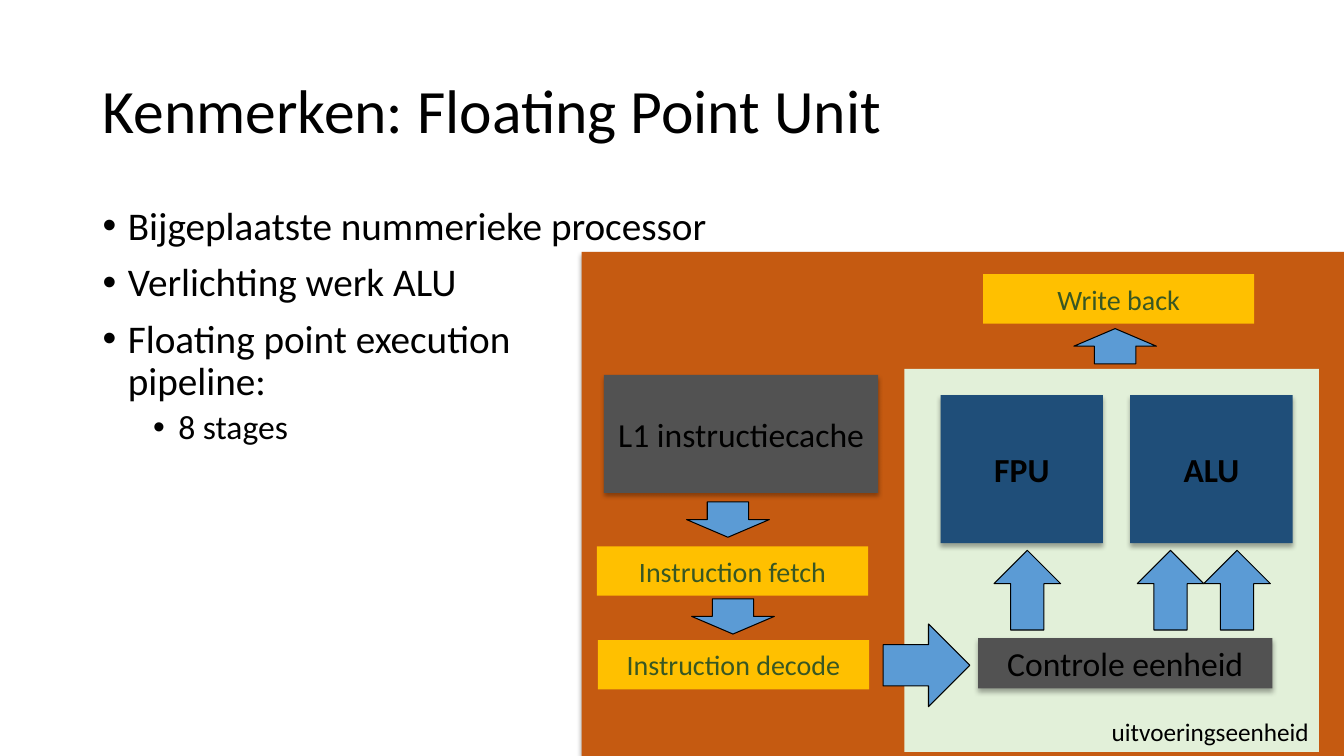
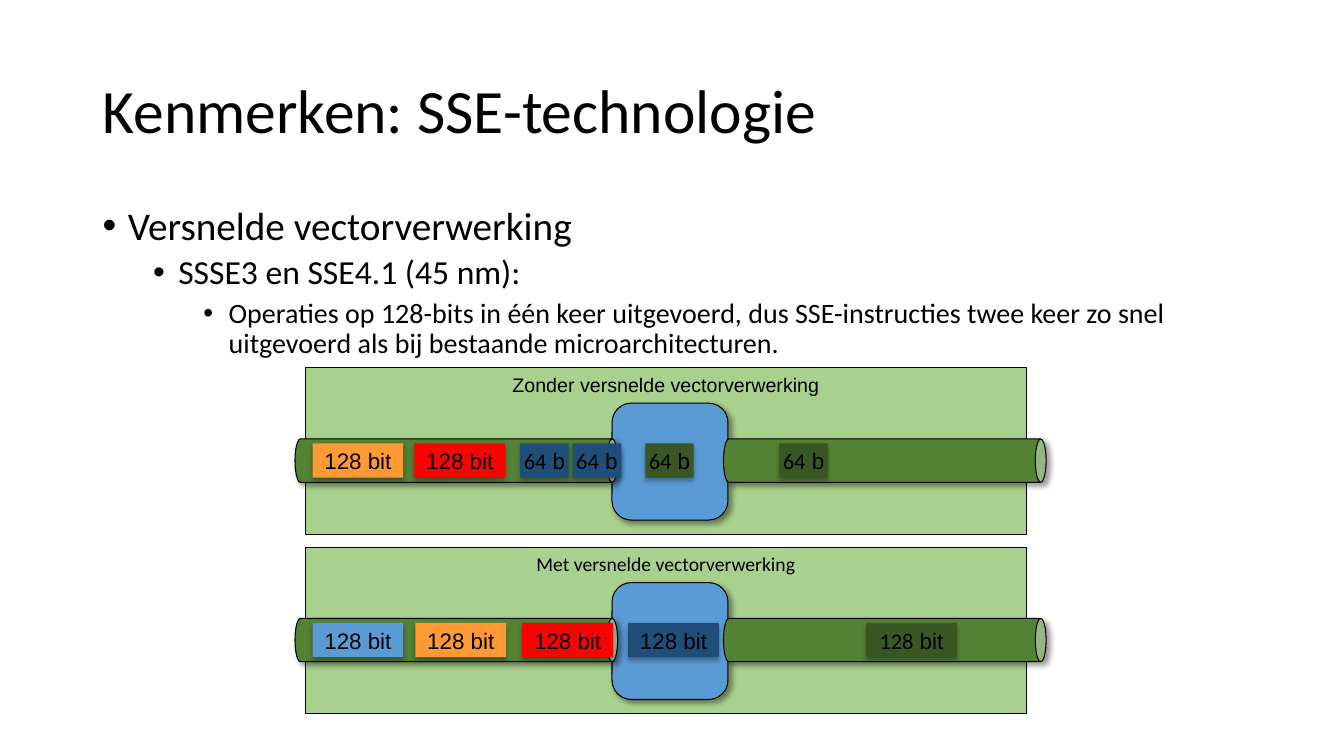
from pptx import Presentation
from pptx.dml.color import RGBColor
from pptx.enum.shapes import MSO_SHAPE
from pptx.enum.text import MSO_ANCHOR, MSO_AUTO_SIZE, PP_ALIGN
from pptx.oxml.ns import qn
from pptx.util import Emu, Pt
from lxml.etree import SubElement

PX = 9144
SANS, ARIAL = "Calibri", "Arial"
HUES = {
    "black": "000000", "rust": "C55A11", "mint": "E2F0D9", "navy": "1F4E79",
    "gold": "FFC000", "gray": "525252", "moss": "385723", "blue": "5B9BD5",
    "lime": "A9D18E", "green": "548235", "orange": "FF9933", "red": "FF0000",
}
SOFT = {"alpha": 32, "blur": 3.5, "dist": 2.2, "angle": 90}
DEEP = {"alpha": 40, "blur": 4, "dist": 3, "angle": 45}
LEVELS = [(28, 10), (24, 5), (20, 5)]


def px(*sizes):
    """Turn px lengths into EMU."""
    return [Emu(size * PX) for size in sizes]


def color(name):
    """Look up a named colour."""
    return RGBColor.from_string(HUES[name])


def text(para, words, size=16, font=SANS, hue="black", bold=False):
    """Add words to a paragraph, with a line break at each newline."""
    for index, line in enumerate(words.split("\n")):
        if index:
            para.add_line_break()
        run = para.add_run()
        run.text = line
        run.font.size, run.font.name, run.font.bold = Pt(size), font, bold
        run.font.color.rgb = color(hue)


def shade(shape, alpha, blur, dist, angle):
    """Give a shape an outer shadow."""
    effects = shape.element.spPr.find(qn("a:effectLst"))
    outer = SubElement(effects, qn("a:outerShdw"), blurRad=str(Pt(blur)),
                       dist=str(Pt(dist)), dir=str(angle * 60000),
                       algn="ctr", rotWithShape="0")
    tint = SubElement(outer, qn("a:srgbClr"), val=HUES["black"])
    SubElement(tint, qn("a:alpha"), val=str(alpha * 1000))


def box(slide, place, fill, kind=MSO_SHAPE.RECTANGLE, edge=False, glow=None):
    """Draw a filled shape."""
    shape = slide.shapes.add_shape(kind, *px(*place))
    shape.shadow.inherit = False
    shape.fill.solid()
    shape.fill.fore_color.rgb = color(fill)
    if edge:
        shape.line.color.rgb = color("black")
        shape.line.width = Pt(0.75)
    else:
        shape.line.fill.background()
    if glow:
        shade(shape, **glow)
    return shape


def label(shape, words, anchor=MSO_ANCHOR.MIDDLE, align=PP_ALIGN.CENTER, **form):
    """Write a label inside a shape."""
    frame = shape.text_frame
    frame.word_wrap = True
    frame.vertical_anchor = anchor
    para = frame.paragraphs[0]
    para.alignment = align
    text(para, words, **form)


def bullet(para, level, words, first):
    """Fill one bullet paragraph."""
    size, gap = LEVELS[level]
    para.level = level
    para.line_spacing = 0.9
    para.space_before = Pt(0 if first else gap)
    props = para._p.get_or_add_pPr()
    props.set("marL", str(px(25 + 50 * level)[0]))
    props.set("indent", str(px(-25)[0]))
    SubElement(props, qn("a:buFont"), typeface=ARIAL)
    SubElement(props, qn("a:buChar"), char="•")
    text(para, words, size=size)


def page(deck, title, points):
    """Add a slide with a title and bullets."""
    slide = deck.slides.add_slide(deck.slide_layouts[5])
    head = slide.shapes.title
    head.left, head.top, head.width, head.height = px(92, 40, 1150, 145)
    label(head, title, align=PP_ALIGN.LEFT, size=44)
    head.text_frame.auto_size = MSO_AUTO_SIZE.NONE
    head.text_frame.paragraphs[0].line_spacing = 0.9
    frame = slide.shapes.add_textbox(*px(92, 200, 1150, 476)).text_frame
    frame.word_wrap = True
    for index, (level, words) in enumerate(points):
        para = frame.add_paragraph() if index else frame.paragraphs[0]
        bullet(para, level, words, not index)
    return slide


def unit(slide):
    """Draw the path from cache to write back."""
    box(slide, (577, 250, 756, 500), "rust", glow=SOFT)
    core = box(slide, (897, 366, 411, 380), "mint")
    label(core, "uitvoeringseenheid", MSO_ANCHOR.BOTTOM, PP_ALIGN.RIGHT, size=18)
    for left, name in ((1121, "ALU"), (933, "FPU")):
        label(box(slide, (left, 392, 161, 147), "navy", glow=SOFT),
              name, size=24, bold=True)
    for place, name in (((970, 633, 292, 50), "Controle eenheid"),
                        ((599, 372, 272, 117), "L1 instructiecache")):
        label(box(slide, place, "gray", glow=SOFT), name, size=24)
    for left, top, name in ((593, 635, "Instruction decode"),
                            (592, 542, "Instruction fetch"),
                            (975, 272, "Write back")):
        label(box(slide, (left, top, 269, 49), "gold"),
              name, size=20, hue="moss")
    down, up = MSO_SHAPE.DOWN_ARROW, MSO_SHAPE.UP_ARROW
    arrows = [(MSO_SHAPE.RIGHT_ARROW, (876, 619, 86, 82)),
              (down, (681, 498, 82, 35)), (down, (686, 594, 82, 35)),
              (up, (1065, 326, 82, 35))]
    arrows += [(up, (left, 546, 66, 79)) for left in (986, 1128, 1194)]
    for kind, place in arrows:
        box(slide, place, "blue", kind, edge=True)


def chip(slide, left, mid, fill, count, font):
    """Draw a data block with its bit count."""
    width, mark = (90, " bit") if count == "128" else (48, " b")
    shape = box(slide, (left, mid - 17, width, 34), fill, glow=SOFT)
    frame = shape.text_frame
    frame.margin_left = frame.margin_right = 0
    frame.margin_top = frame.margin_bottom = 0
    label(shape, count, font=font)
    text(frame.paragraphs[0], mark, font=ARIAL)


def lane(slide, mid, title, font, chips):
    """Draw a pipe through a core with its data blocks."""
    band = box(slide, (303, mid - 92, 715, 165), "lime", edge=True)
    label(band, title, MSO_ANCHOR.TOP, size=14, font=font)
    box(slide, (607, mid - 57, 115, 116), "blue",
        MSO_SHAPE.ROUNDED_RECTANGLE, True, DEEP)
    for left in (856, 431):
        pipe = box(slide, (left, mid - 160, 43, 320), "green",
                   MSO_SHAPE.CAN, True, DEEP)
        pipe.rotation = 90
    for left, fill, count, face in chips:
        chip(slide, left, mid, fill, count, face)


def main():
    """Build and save the deck."""
    deck = Presentation()
    deck.slide_width, deck.slide_height = px(1333, 750)
    unit(page(deck, "Kenmerken: Floating Point Unit", [
        (0, "Bijgeplaatste nummerieke processor"),
        (0, "Verlichting werk ALU"),
        (0, "Floating point execution\npipeline:"),
        (1, "8 stages")]))
    slide = page(deck, "Kenmerken: SSE-technologie", [
        (0, "Versnelde vectorverwerking"),
        (1, "SSSE3 en SSE4.1 (45 nm):"),
        (2, "Operaties op 128-bits in één keer uitgevoerd, dus SSE-instructies "
            "twee keer zo snel uitgevoerd als bij bestaande microarchitecturen.")])
    lane(slide, 457, "Zonder versnelde vectorverwerking", ARIAL, [
        (310, "orange", "128", ARIAL), (411, "red", "128", ARIAL),
        (516, "navy", "64", SANS), (568, "navy", "64", SANS),
        (640, "moss", "64", SANS), (773, "moss", "64", SANS)])
    lane(slide, 635, "Met versnelde vectorverwerking", SANS, [
        (310, "blue", "128", ARIAL), (412, "orange", "128", ARIAL),
        (518, "red", "128", ARIAL), (623, "navy", "128", ARIAL),
        (859, "moss", "128", SANS)])
    deck.save("out.pptx")


if __name__ == "__main__":
    main()
